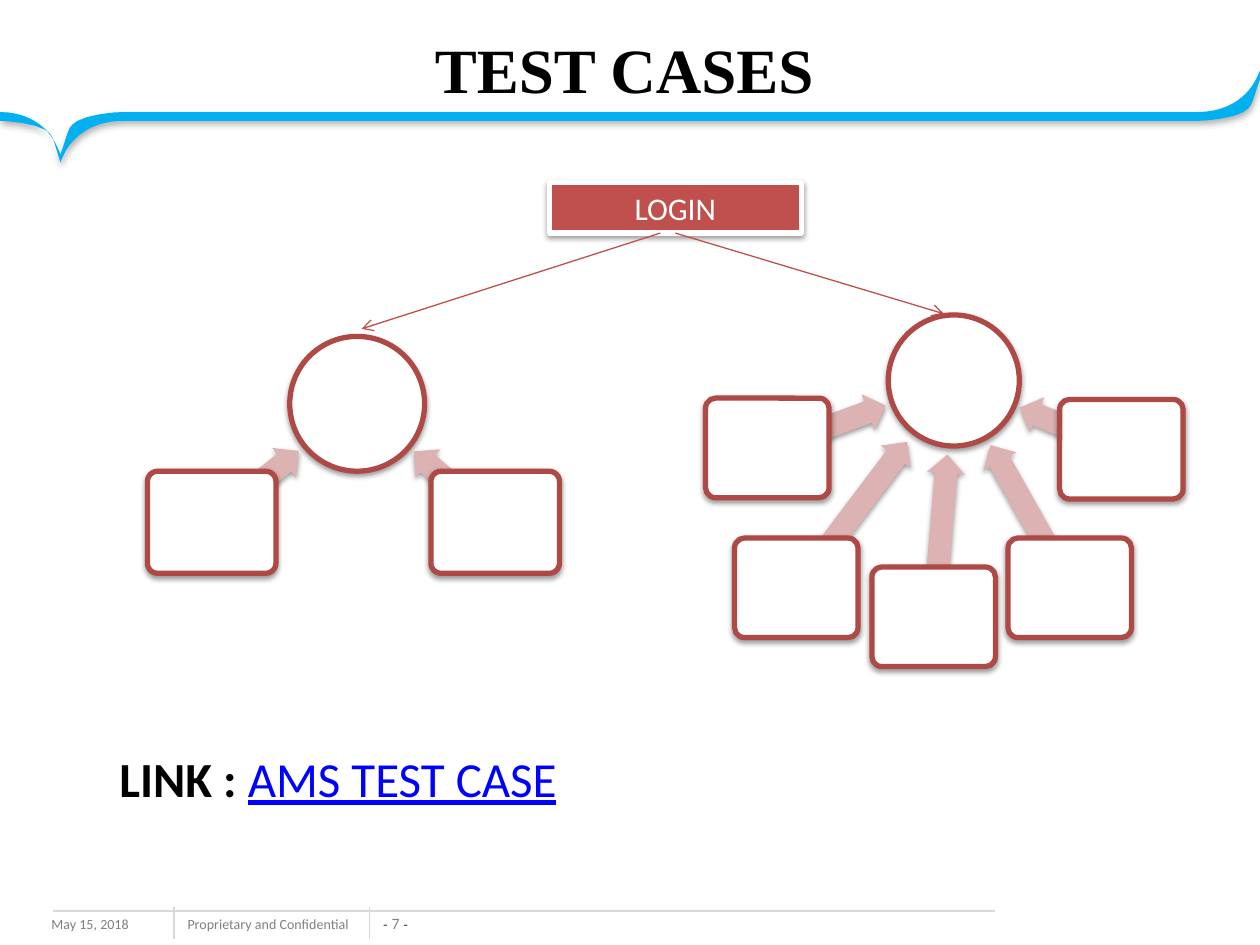
from lxml import etree
from pptx import Presentation
from pptx.dml.color import RGBColor
from pptx.enum.shapes import MSO_CONNECTOR, MSO_SHAPE
from pptx.enum.text import MSO_ANCHOR, PP_ALIGN
from pptx.oxml.ns import qn
from pptx.util import Pt

PX = 9144  # EMU per px, 100 px to the inch
COLORS = {
    "band": "00B0F0", "red": "C0504D", "outline": "AE4946", "arrow": "DCB3B2",
    "white": "FFFFFF", "black": "000000", "link": "0000FF",
    "grey": "808080", "rule": "D9D9D9", "navy": "1F497D",
}
RGB = {name: RGBColor.from_string(value) for name, value in COLORS.items()}

prs = Presentation()
prs.slide_width, prs.slide_height = 1000 * PX, 750 * PX
slide = prs.slides.add_slide(prs.slide_layouts[6])
shapes = slide.shapes


def style(sp, fill, line=None, blur=3.1, dist=1.6, alpha=38):
    """Set fill, outline and a soft shadow straight below."""
    sp.fill.solid()
    sp.fill.fore_color.rgb = RGB[fill]
    if line:
        sp.line.color.rgb = RGB[line]
        sp.line.width = Pt(3)
    else:
        sp.line.fill.background()
    sp.shadow.inherit = False
    effects = sp._element.spPr.find(qn("a:effectLst"))
    shadow = etree.SubElement(effects, qn("a:outerShdw"), blurRad=str(Pt(blur)),
                              dist=str(Pt(dist)), dir="5400000", rotWithShape="0")
    color = etree.SubElement(shadow, qn("a:srgbClr"), val=COLORS["black"])
    etree.SubElement(color, qn("a:alpha"), val=str(alpha * 1000))


def write(sp, runs, align=PP_ALIGN.LEFT):
    """Fill one paragraph with (text, size, font, color, bold, underline) runs."""
    tf = sp.text_frame
    tf.word_wrap = True
    p = tf.paragraphs[0]
    p.alignment = align
    for text, size, font, color, bold, underline in runs:
        r = p.add_run()
        r.text = text
        r.font.size, r.font.name = Pt(size), font
        r.font.bold, r.font.underline = bold, underline
        r.font.color.rgb = RGB[color]
    return tf


# Footer and headings
texts = [
    ((31, 722, 133, 25), PP_ALIGN.LEFT,
     [("May 15, 2018", 8, "Calibri", "grey", False, False)]),
    ((139, 722, 157, 24), PP_ALIGN.LEFT,
     [("Proprietary and Confidential", 8, "Calibri", "grey", False, False)]),
    ((37, 19, 917, 71), PP_ALIGN.CENTER,
     [("TEST CASES", 36, "Times New Roman", "black", True, False)]),
    ((85, 589, 850, 92), PP_ALIGN.LEFT,
     [("LINK : ", 28, "Calibri", "black", True, False),
      ("AMS TEST CASE", 28, "Calibri", "link", False, True)]),
]
for box, align, runs in texts:
    write(shapes.add_textbox(*(v * PX for v in box)), runs, align)

# Page number
sp = shapes.add_textbox(301 * PX, 725 * PX, 26 * PX, 15 * PX)
tf = write(sp, [("- ", 8, "Arial", "navy", False, False),
                ("7 ", 9, "Calibri", "grey", False, False),
                ("-", 8, "Arial", "navy", False, False)], PP_ALIGN.CENTER)
tf.margin_left = tf.margin_right = tf.margin_top = tf.margin_bottom = 0
tf.vertical_anchor = MSO_ANCHOR.BOTTOM

# Curved band under the title: cubic curves and straight runs
band = [
    [(97, 89)],
    [(59, 89), (48, 123), (48, 123)],
    [(48, 123), (38, 89), (0, 89)],
    [(0, 96)],
    [(38, 96), (48, 129), (48, 129)],
    [(48, 129), (59, 96), (97, 96)],
    [(951, 96)],
    [(989, 96), (1000, 63), (1000, 63)],
    [(1000, 56)],
    [(1000, 56), (989, 89), (951, 89)],
]
STEPS = 16
start = (951, 89)
points = []
for segment in band:
    if len(segment) == 1:
        points.append(segment[0])
    else:
        for step in range(1, STEPS + 1):
            t = step / STEPS
            weights = ((1 - t) ** 3, 3 * t * (1 - t) ** 2, 3 * t * t * (1 - t), t ** 3)
            points.append(tuple(sum(w * v for w, v in zip(weights, axis))
                                for axis in zip(points[-1], *segment)))
builder = shapes.build_freeform(start[0] * PX, start[1] * PX)
builder.add_line_segments([(x * PX, y * PX) for x, y in points])
style(builder.convert_to_shape(), "band", blur=4, dist=2, alpha=31)

# Hubs: circle, spoke box size, then (arrow box, rotation, spoke corner)
hubs = [
    ((705, 250, 104), (98, 79), [
        ((603, 394, 146, 30), 127, (583, 427)),
        ((606, 324, 100, 30), 160, (560, 316)),
        ((682, 410, 129, 30), 94.8, (692, 450)),
        ((806, 325, 87, 30), 22.2, (841, 317)),
        ((753, 395, 130, 30), 60.7, (800, 427)),
    ]),
    ((230, 267, 107), (102, 81), [
        ((157, 371, 90, 30), 141.3, (117, 374)),
        ((318, 371, 85, 30), 40.7, (342, 374)),
    ]),
]
for (x, y, d), size, spokes in hubs:
    sp = shapes.add_shape(MSO_SHAPE.OVAL, x * PX, y * PX, d * PX, d * PX)
    style(sp, "white", "outline")
    for arrow, angle, corner in spokes:
        sp = shapes.add_shape(MSO_SHAPE.LEFT_ARROW, *(v * PX for v in arrow))
        sp.rotation = angle
        sp.adjustments[0], sp.adjustments[1] = 0.6, 0.5
        style(sp, "arrow")
        sp = shapes.add_shape(MSO_SHAPE.ROUNDED_RECTANGLE, *(v * PX for v in corner + size))
        sp.adjustments[0] = 0.1
        style(sp, "white", "outline")

# Login box
sp = shapes.add_shape(MSO_SHAPE.RECTANGLE, 436 * PX, 145 * PX, 200 * PX, 40 * PX)
style(sp, "red", "white")
write(sp, [("LOGIN", 18, "Calibri", "white", False, False)], PP_ALIGN.CENTER)

# Footer rules and login arrows
lines = [
    ((138, 720, 138, 745), "rule", False),
    ((293, 720, 293, 745), "rule", False),
    ((790, 723, 42, 723), "rule", False),
    ((524, 185, 287, 261), "red", True),
    ((536, 185, 749, 249), "red", True),
]
for ends, color, has_head in lines:
    line = shapes.add_connector(MSO_CONNECTOR.STRAIGHT, *(v * PX for v in ends))
    line.line.color.rgb = RGB[color]
    line.line.width = Pt(0.75)
    if has_head:
        etree.SubElement(line.line._get_or_add_ln(), qn("a:tailEnd"), type="arrow")
    etree.SubElement(line._element.spPr, qn("a:effectLst"))

prs.save("out.pptx")
